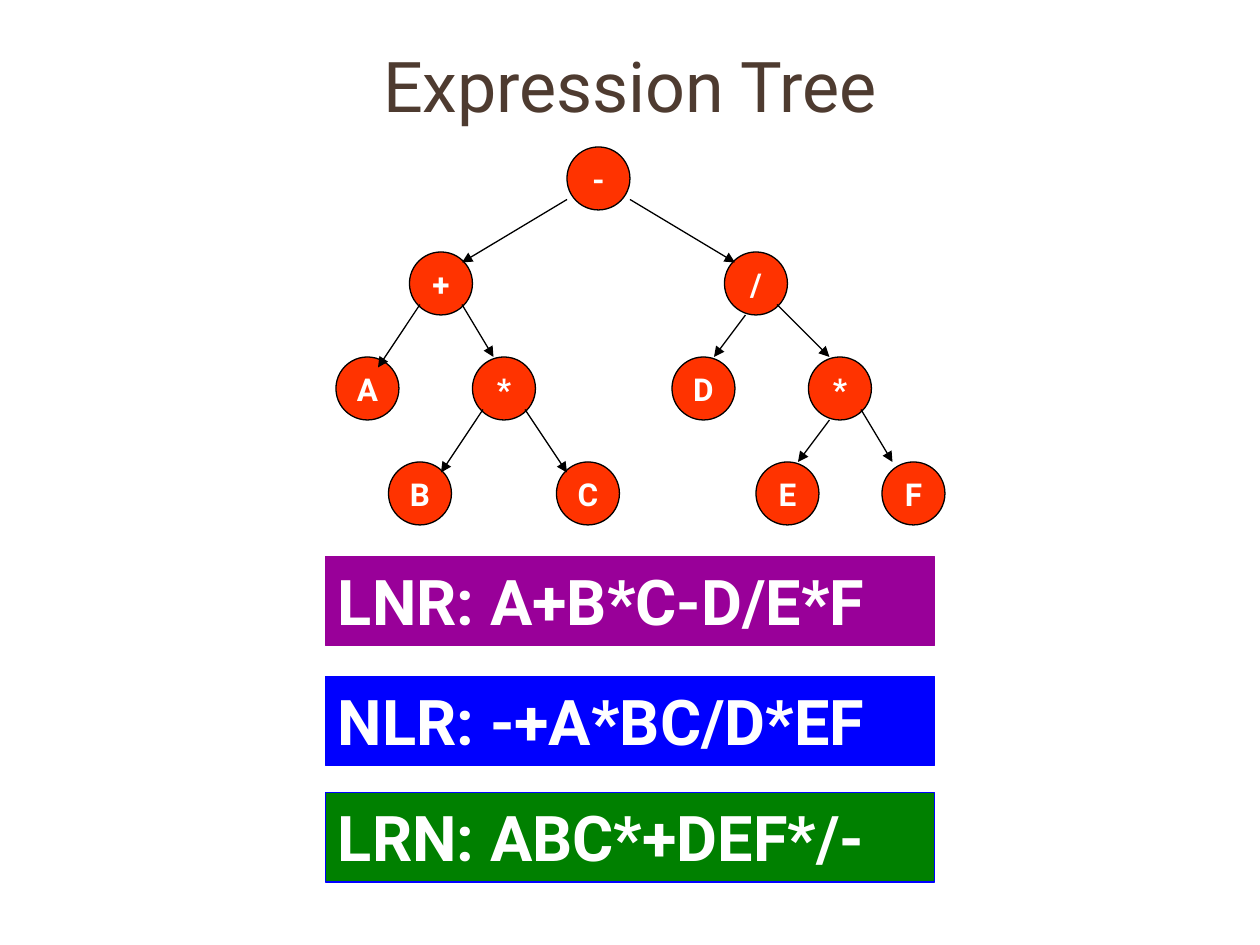
from lxml import etree
from pptx import Presentation
from pptx.dml.color import RGBColor
from pptx.enum.shapes import MSO_CONNECTOR, MSO_SHAPE
from pptx.enum.text import MSO_ANCHOR, PP_ALIGN
from pptx.oxml.ns import qn
from pptx.util import Inches, Pt

STRAIGHT = MSO_CONNECTOR.STRAIGHT
OVAL, RECTANGLE = MSO_SHAPE.OVAL, MSO_SHAPE.RECTANGLE
TOP, MIDDLE = MSO_ANCHOR.TOP, MSO_ANCHOR.MIDDLE
LEFT, CENTER = PP_ALIGN.LEFT, PP_ALIGN.CENTER

BROWN = RGBColor(0x4E, 0x3B, 0x30)
ORANGE = RGBColor(0xFF, 0x33, 0x00)
PURPLE = RGBColor(0x99, 0x00, 0x99)
BLUE = RGBColor(0x00, 0x00, 0xFF)
GREEN = RGBColor(0x00, 0x80, 0x00)
BLACK = RGBColor(0x00, 0x00, 0x00)
WHITE = RGBColor(0xFF, 0xFF, 0xFF)

CELLS_PER_INCH = 12
NODE_SIZE = 6
LINE_WIDTH = Pt(0.75)

# Row of each tree level, with its (column, symbol) nodes
TREE_LEVELS = {
    14: [(54, "-")],
    24: [(39, "+"), (69, "/")],
    34: [(32, "A"), (45, "*"), (64, "D"), (77, "*")],
    44: [(37, "B"), (53, "C"), (72, "E"), (84, "F")],
}

# Parent end and child end, each as (column, row)
BRANCHES = [
    ((54, 19), (44, 25)), ((60, 19), (70, 25)),
    ((40, 29), (36, 35)), ((44, 29), (47, 34)),
    ((71, 30), (68, 34)), ((74, 29), (79, 34)),
    ((46, 39), (42, 45)), ((50, 39), (54, 45)),
    ((79, 40), (76, 44)), ((82, 39), (85, 44)),
]

TRAVERSALS = [
    (53, "LNR: A+B*C-D/E*F", PURPLE, PURPLE),
    (64.4, "NLR: -+A*BC/D*EF", BLUE, BLUE),
    (75.5, "LRN: ABC*+DEF*/-", GREEN, BLUE),
]


def cells(*counts):
    """Turn grid counts into lengths."""
    return [Inches(count / CELLS_PER_INCH) for count in counts]


def write(shape, text, size, color=WHITE, bold=True, align=CENTER,
          anchor=MIDDLE, wrap=True):
    frame = shape.text_frame
    frame.word_wrap = wrap
    frame.vertical_anchor = anchor
    paragraph = frame.paragraphs[0]
    paragraph.alignment = align
    run = paragraph.add_run()
    run.text = text
    run.font.name = "Roboto"
    run.font.size = Pt(size)
    run.font.bold = bold
    run.font.color.rgb = color


def add_filled(slide, kind, box, fill, outline):
    shape = slide.shapes.add_shape(kind, *cells(*box))
    shape.shadow.inherit = False
    shape.fill.solid()
    shape.fill.fore_color.rgb = fill
    shape.line.color.rgb = outline
    shape.line.width = LINE_WIDTH
    return shape


def add_title(slide, text):
    title = slide.shapes.add_textbox(*cells(9, 3, 102, 10))
    write(title, text, 40, color=BROWN, bold=False)


def add_node(slide, column, row, symbol):
    node = add_filled(slide, OVAL, (column, row, NODE_SIZE, NODE_SIZE),
                      ORANGE, BLACK)
    write(node, symbol, 18, wrap=False)


def add_branch(slide, parent_end, child_end):
    branch = slide.shapes.add_connector(STRAIGHT,
                                        *cells(*parent_end, *child_end))
    branch.line.color.rgb = BLACK
    branch.line.width = LINE_WIDTH
    arrowhead = etree.SubElement(branch.line._get_or_add_ln(), qn("a:tailEnd"))
    arrowhead.set("type", "triangle")
    etree.SubElement(branch._element.spPr, qn("a:effectLst"))


def add_traversal(slide, row, text, fill, outline):
    banner = add_filled(slide, RECTANGLE, (31, row, 58, 8.5), fill, outline)
    write(banner, text, 36, align=LEFT, anchor=TOP)


def main():
    presentation = Presentation()
    presentation.slide_width = Inches(10)
    presentation.slide_height = Inches(7.5)
    slide = presentation.slides.add_slide(presentation.slide_layouts[6])

    add_title(slide, "Expression Tree")
    for row, nodes in TREE_LEVELS.items():
        for column, symbol in nodes:
            add_node(slide, column, row, symbol)
    for parent_end, child_end in BRANCHES:
        add_branch(slide, parent_end, child_end)
    for traversal in TRAVERSALS:
        add_traversal(slide, *traversal)

    presentation.save("out.pptx")


if __name__ == "__main__":
    main()
